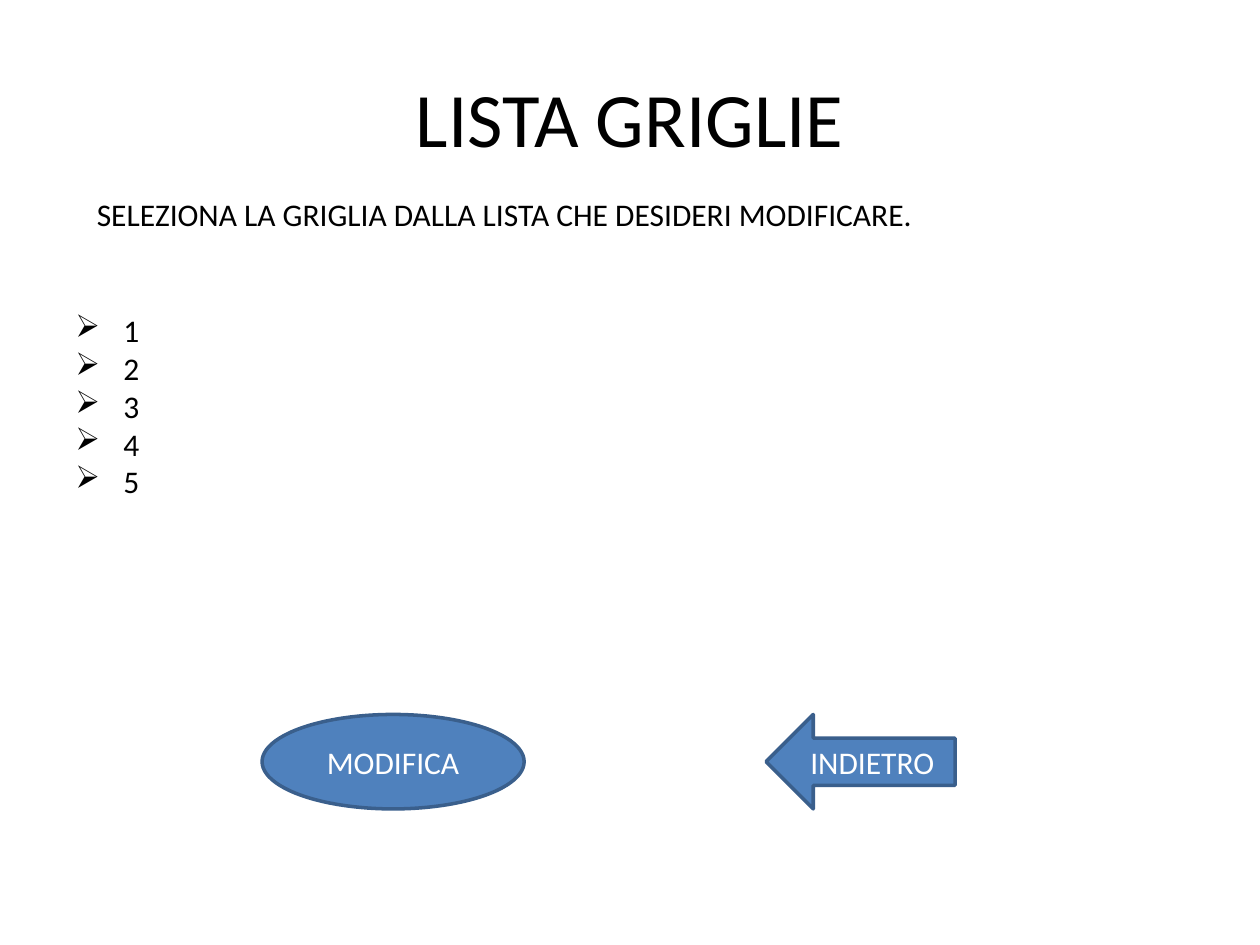
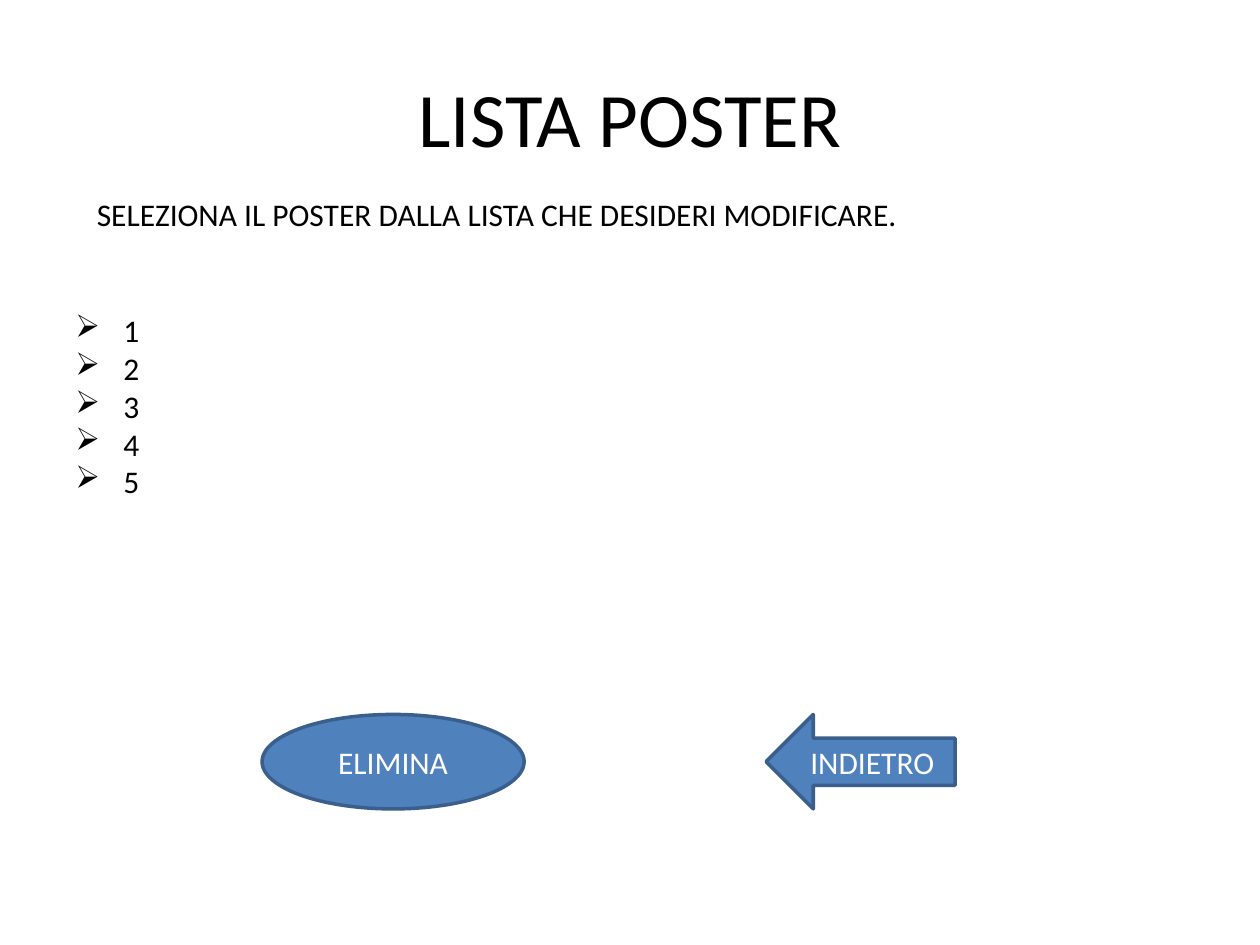
"""Build two selection screens that share one layout."""
from dataclasses import dataclass

import lxml.etree
import pptx
import pptx.dml.color
import pptx.enum.shapes
import pptx.enum.text
import pptx.oxml.ns
import pptx.presentation
import pptx.slide
import pptx.text.text
import pptx.util

Inches = pptx.util.Inches
RGBColor = pptx.dml.color.RGBColor
ShapeType = pptx.enum.shapes.MSO_SHAPE
Align = pptx.enum.text.PP_ALIGN
Anchor = pptx.enum.text.MSO_ANCHOR

BLACK = RGBColor(0x00, 0x00, 0x00)
WHITE = RGBColor(0xFF, 0xFF, 0xFF)
BLUE = RGBColor(0x4F, 0x81, 0xBD)
DARK_BLUE = RGBColor(0x3A, 0x5F, 0x8C)

FONT = "Calibri"
TITLE_SIZE = 44
BODY_SIZE = 18
BULLET = "\u27a2"
BULLET_INDENT = Inches(0.38)
LIST_ITEMS = ["1", "2", "3", "4", "5"]


@dataclass(frozen=True)
class Box:
    """Place and size in inches."""
    left: float
    top: float
    width: float
    height: float

    def lengths(self) -> list[pptx.util.Length]:
        """Return left, top, width and height as lengths."""
        return [Inches(value) for value in (self.left, self.top, self.width, self.height)]


@dataclass(frozen=True)
class Button:
    """A labelled shape the user can press."""
    label: str
    kind: ShapeType
    box: Box


@dataclass(frozen=True)
class Screen:
    """What differs from one selection screen to the next."""
    title: str
    instruction: str
    action: str


TITLE_BOX = Box(0.5, 0.3, 9, 1.25)
INSTRUCTION_BOX = Box(0.67, 1.5, 8.83, 0.42)
LIST_BOX = Box(0.5, 2.42, 8.75, 1.62)
ACTION_BOX = Box(2.08, 5.67, 2.08, 0.75)
BACK_BUTTON = Button("INDIETRO", ShapeType.LEFT_ARROW, Box(6.08, 5.67, 1.5, 0.75))

SCREENS = [
    Screen("LISTA GRIGLIE",
           "SELEZIONA LA GRIGLIA DALLA LISTA CHE DESIDERI MODIFICARE.", "MODIFICA"),
    Screen("LISTA POSTER",
           "SELEZIONA IL POSTER DALLA LISTA CHE DESIDERI MODIFICARE.", "ELIMINA"),
]


def write_text(frame: pptx.text.text.TextFrame, lines: list[str], size: int,
               color: RGBColor, align: Align) -> None:
    """Fill a text frame with one formatted paragraph per line."""
    frame.text = "\n".join(lines)
    frame.word_wrap = True
    for paragraph in frame.paragraphs:
        paragraph.alignment = align
        for run in paragraph.runs:
            run.font.name = FONT
            run.font.size = pptx.util.Pt(size)
            run.font.color.rgb = color


def add_bullet(paragraph: pptx.text.text._Paragraph) -> None:
    """Give a paragraph an arrow bullet with a hanging indent."""
    properties = paragraph._p.get_or_add_pPr()
    properties.set("marL", str(int(BULLET_INDENT)))
    properties.set("indent", str(-int(BULLET_INDENT)))
    bullet = lxml.etree.SubElement(properties, pptx.oxml.ns.qn("a:buChar"))
    bullet.set("char", BULLET)


def add_title(slide: pptx.slide.Slide, text: str) -> None:
    """Place and format the title placeholder."""
    title = slide.shapes.title
    title.left, title.top, title.width, title.height = TITLE_BOX.lengths()
    title.text_frame.vertical_anchor = Anchor.MIDDLE
    write_text(title.text_frame, [text], TITLE_SIZE, BLACK, Align.CENTER)


def add_text(slide: pptx.slide.Slide, box: Box,
             lines: list[str]) -> pptx.text.text.TextFrame:
    """Add a body text box that grows with its text."""
    frame = slide.shapes.add_textbox(*box.lengths()).text_frame
    write_text(frame, lines, BODY_SIZE, BLACK, Align.LEFT)
    frame.auto_size = pptx.enum.text.MSO_AUTO_SIZE.SHAPE_TO_FIT_TEXT
    return frame


def add_button(slide: pptx.slide.Slide, button: Button) -> None:
    """Add a blue button with a centred label."""
    shape = slide.shapes.add_shape(button.kind, *button.box.lengths())
    shape.shadow.inherit = False
    shape.fill.solid()
    shape.fill.fore_color.rgb = BLUE
    shape.line.color.rgb = DARK_BLUE
    shape.line.width = pptx.util.Pt(2)
    shape.text_frame.vertical_anchor = Anchor.MIDDLE
    write_text(shape.text_frame, [button.label], BODY_SIZE, WHITE, Align.CENTER)


def add_screen(presentation: pptx.presentation.Presentation, screen: Screen) -> None:
    """Add one selection screen."""
    slide = presentation.slides.add_slide(presentation.slide_layouts.get_by_name("Title Only"))
    add_title(slide, screen.title)
    for paragraph in add_text(slide, LIST_BOX, LIST_ITEMS).paragraphs:
        add_bullet(paragraph)
    add_text(slide, INSTRUCTION_BOX, [screen.instruction])
    add_button(slide, BACK_BUTTON)
    add_button(slide, Button(screen.action, ShapeType.OVAL, ACTION_BOX))


def main() -> None:
    """Build and save the presentation."""
    presentation = pptx.Presentation()
    presentation.slide_width = Inches(10)
    presentation.slide_height = Inches(7.5)
    for screen in SCREENS:
        add_screen(presentation, screen)
    presentation.save("out.pptx")


main()
